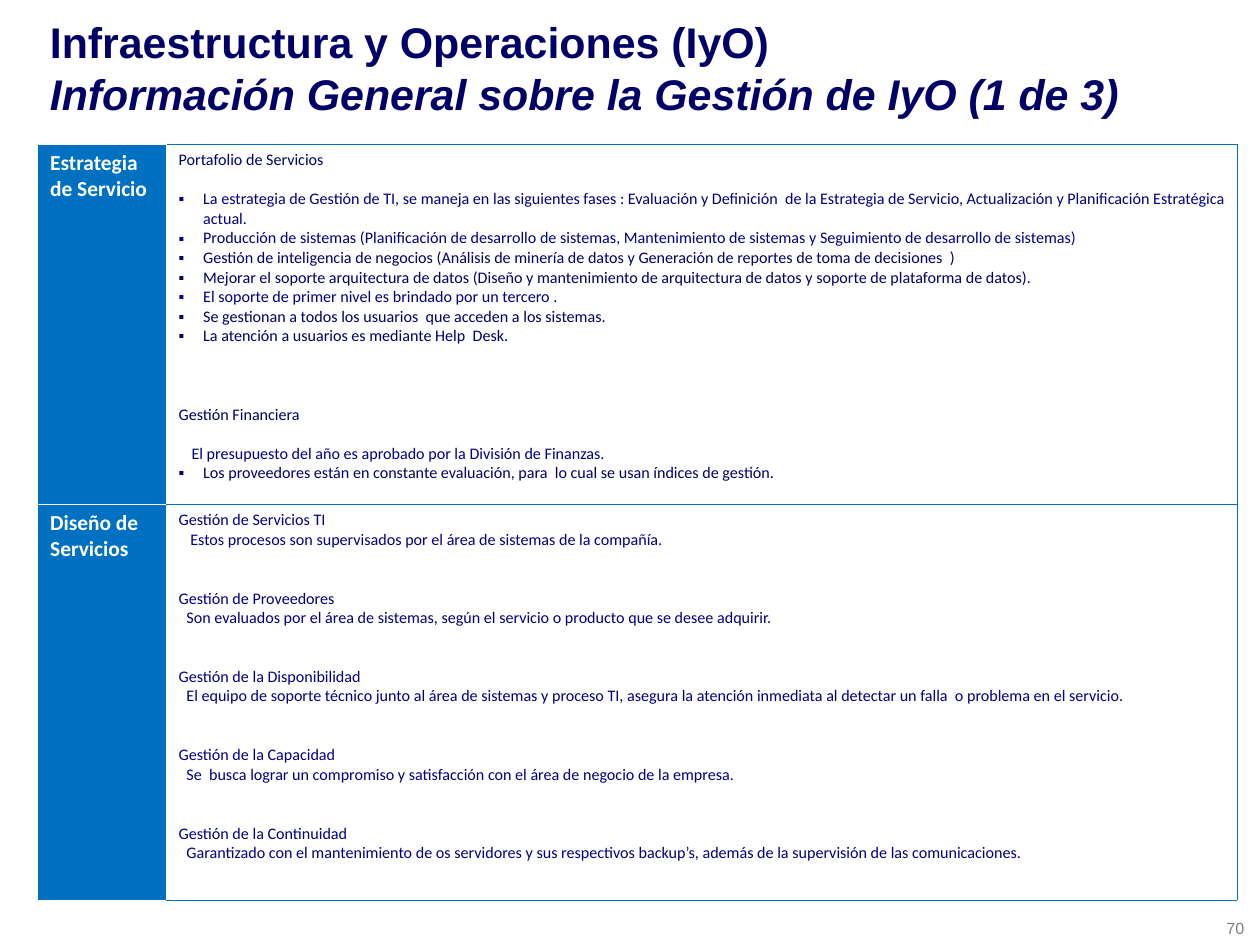
from pptx import Presentation
from pptx.util import Inches, Pt
from pptx.dml.color import RGBColor
from pptx.enum.text import MSO_ANCHOR
from pptx.oxml import parse_xml
from pptx.oxml.ns import nsdecls

# Content
TITLE = [
    ("Infraestructura y Operaciones (IyO)", False),
    ("Información General sobre la Gestión de IyO (1 de 3)", True),
]
PAGE = "70"

# Each line: text, colour, format (gap = empty lines above, left = indent)
STRATEGY = [
    ("Portafolio de Servicios", "navy", {}),
    ("La estrategia de Gestión de TI, se maneja en las siguientes fases : Evaluación y Definición  de la "
     "Estrategia de Servicio, Actualización y Planificación Estratégica actual.",
     "blue", {"bullet": True, "gap": 1}),
    ("Producción de sistemas (Planificación de desarrollo de sistemas, Mantenimiento de sistemas y "
     "Seguimiento de desarrollo de sistemas)", "blue", {"bullet": True}),
    ("Gestión de inteligencia de negocios (Análisis de minería de datos y Generación de reportes de toma "
     "de decisiones  )", "navy", {"bullet": True}),
    ("Mejorar el soporte arquitectura de datos (Diseño y mantenimiento de arquitectura de datos y soporte "
     "de plataforma de datos).", "navy", {"bullet": True}),
    ("El soporte de primer nivel es brindado por un tercero .", "blue", {"bullet": True}),
    ("Se gestionan a todos los usuarios  que acceden a los sistemas.", "navy", {"bullet": True}),
    ("La atención a usuarios es mediante Help  Desk.", "navy", {"bullet": True}),
    ("Gestión Financiera", "navy", {"gap": 3}),
    ("El presupuesto del año es aprobado por la División de Finanzas.", "ink", {"gap": 1, "left": 0.1}),
    ("Los proveedores están en constante evaluación, para  lo cual se usan índices de gestión.",
     "navy", {"bullet": True}),
]
# Each topic: heading, detail, indent of the detail
TOPICS = [
    ("Gestión de Servicios TI",
     "Estos procesos son supervisados por el área de sistemas de la compañía.", 0.09),
    ("Gestión de Proveedores",
     "Son evaluados por el área de sistemas, según el servicio o producto que se desee adquirir.", 0.06),
    ("Gestión de la Disponibilidad",
     "El equipo de soporte técnico junto al área de sistemas y proceso TI, asegura la atención inmediata "
     "al detectar un falla  o problema en el servicio.", 0.06),
    ("Gestión de la Capacidad",
     "Se  busca lograr un compromiso y satisfacción con el área de negocio de la empresa.", 0.06),
    ("Gestión de la Continuidad",
     "Garantizado con el mantenimiento de os servidores y sus respectivos backup’s, además de la "
     "supervisión de las comunicaciones.", 0.06),
]
DESIGN = []
for i, (head, detail, left) in enumerate(TOPICS):
    DESIGN.append((head, "blue", {"gap": 2 if i else 0}))
    DESIGN.append((detail, "blue", {"left": left}))

ROWS = [("Estrategia de Servicio", STRATEGY, 2.8), ("Diseño de Servicios", DESIGN, 3.08)]
COLS = [1, 8.33]

THEME = {
    "navy": "000066", "blue": "000080", "ink": "000085", "fill": "0070C0",
    "white": "FFFFFF", "gray": "808080",
    "head": "Arial", "body": "Calibri",
    "title": 24, "label": 12, "text": 9, "line": 11, "hang": 0.19, "edge": 0.25,
}


def tint(name):
    return RGBColor.from_string(THEME[name])


def write(frame, text, size="text", color="navy", font="body", bold=False,
          italic=False, bullet=False, gap=0, left=0):
    """Fill the first paragraph if it is empty, else add one."""
    para = frame.paragraphs[0]
    if para.runs:
        para = frame.add_paragraph()
    para.space_before = Pt(gap * THEME["line"])
    run = para.add_run()
    run.text = text
    run.font.size = Pt(THEME[size])
    run.font.name = THEME[font]
    run.font.color.rgb = tint(color)
    run.font.bold = bold
    run.font.italic = italic
    props = para._p.get_or_add_pPr()
    hang = THEME["hang"] if bullet else 0
    props.set("marL", str(Inches(hang or left)))
    props.set("indent", str(-Inches(hang)))
    if bullet:
        props.append(parse_xml(f'<a:buFont {nsdecls("a")} typeface="Arial"/>'))
        props.append(parse_xml(f'<a:buChar {nsdecls("a")} char="▪"/>'))


def paint(cell, fill, edges):
    """Set the fill and the left, right, top and bottom borders."""
    cell.fill.solid()
    cell.fill.fore_color.rgb = tint(fill)
    props = cell._tc.get_or_add_tcPr()
    for i, (side, color) in enumerate(zip("LRTB", edges)):
        props.insert(i, parse_xml(
            f'<a:ln{side} {nsdecls("a")} w="{Pt(THEME["edge"])}"><a:solidFill>'
            f'<a:srgbClr val="{THEME[color]}"/></a:solidFill></a:ln{side}>'))


def box(slide, left, top, width, height, wrap):
    frame = slide.shapes.add_textbox(*map(Inches, (left, top, width, height))).text_frame
    frame.word_wrap = wrap
    frame.vertical_anchor = MSO_ANCHOR.MIDDLE
    return frame


def main():
    deck = Presentation()
    deck.slide_width, deck.slide_height = Inches(9.8), Inches(7.35)
    slide = deck.slides.add_slide(deck.slide_layouts[6])

    # Title
    frame = box(slide, 0.29, 0.16, 9.27, 0.73, True)
    for text, italic in TITLE:
        write(frame, text, size="title", font="head", bold=True, italic=italic)

    # Table
    high = sum(row[2] for row in ROWS)
    table = slide.shapes.add_table(
        len(ROWS), len(COLS), Inches(0.29), Inches(1.12), Inches(sum(COLS)), Inches(high)).table
    table.first_row = table.horz_banding = False
    for col, width in zip(table.columns, COLS):
        col.width = Inches(width)
    for row, (label, lines, height) in zip(table.rows, ROWS):
        row.height = Inches(height)
        side, main_cell = row.cells
        paint(side, "fill", ["white"] * 4)
        write(side.text_frame, label, size="label", color="white", bold=True)
        paint(main_cell, "white", ["white"] + ["fill"] * 3)
        for text, color, form in lines:
            write(main_cell.text_frame, text, color=color, **form)

    # Page number
    write(box(slide, 9.44, 7.09, 0.36, 0.25, False), PAGE, color="gray", font="head")

    deck.save("out.pptx")


if __name__ == "__main__":
    main()
